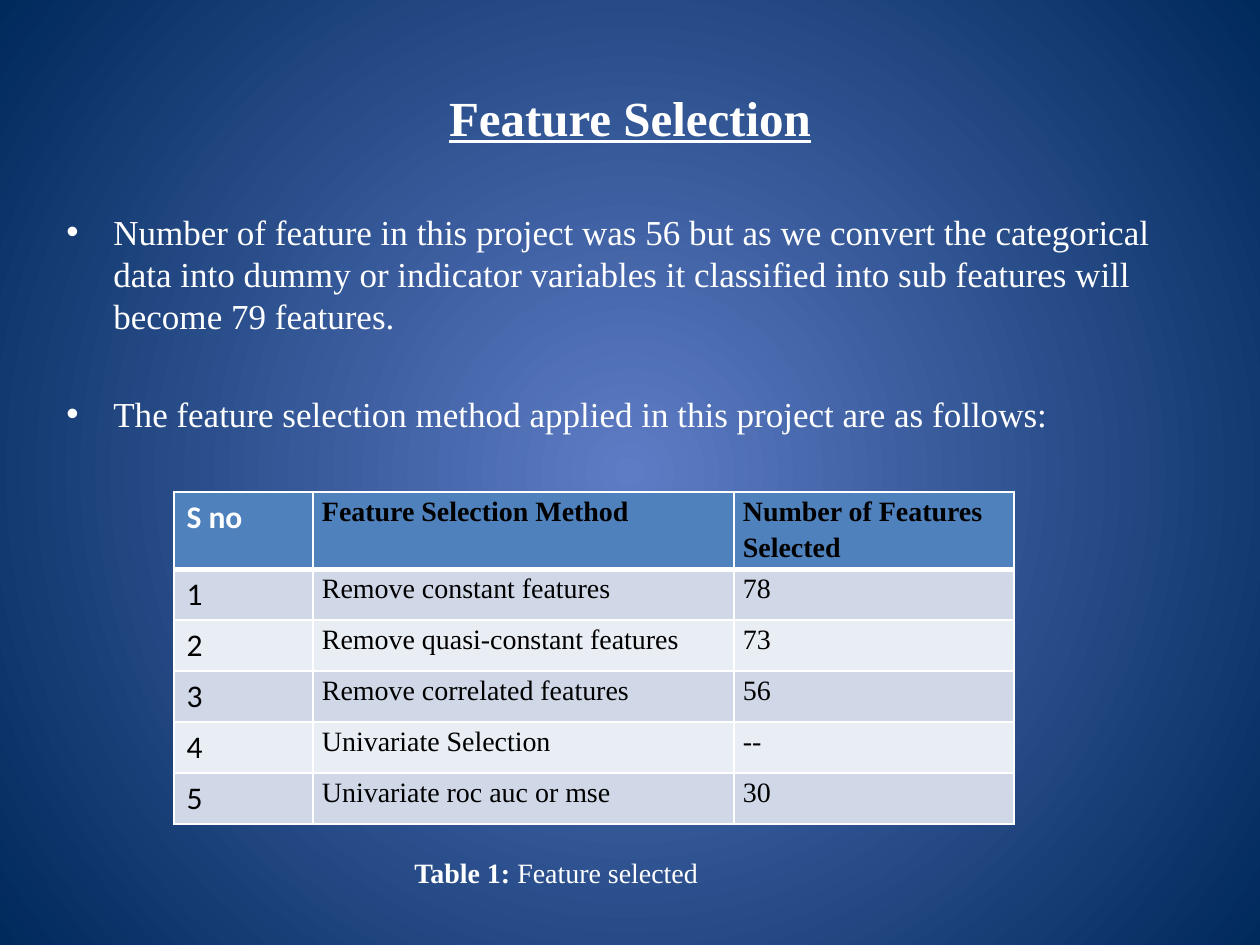
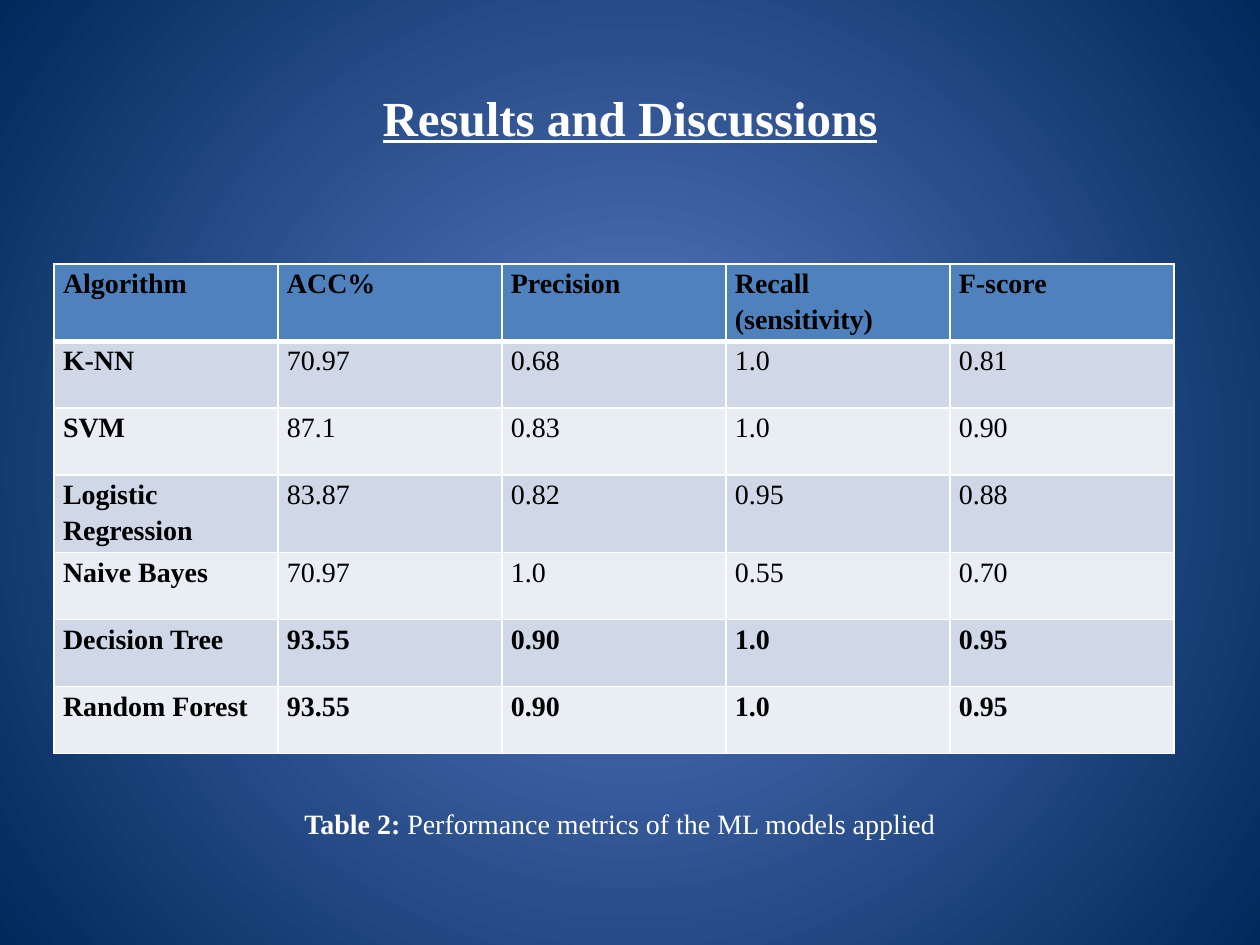
from lxml.etree import SubElement
from pptx import Presentation
from pptx.dml.color import RGBColor as RGB
from pptx.enum.text import MSO_ANCHOR as Anchor, PP_ALIGN as Align
from pptx.oxml.ns import qn
from pptx.util import Pt

PX = 9144000 // 1260
SERIF, SANS = "Times New Roman", "Calibri"
WHITE, BLACK = RGB(255, 255, 255), RGB(0, 0, 0)
GLOW, NAVY = RGB(0x5E, 0x7C, 0xC5), RGB(0x00, 0x29, 0x5C)
HEAD = RGB(0x4F, 0x81, 0xBD)
BANDS = RGB(0xD0, 0xD8, 0xE8), RGB(0xE9, 0xED, 0xF4)

POINTS = [
    "Number of feature in this project was 56 but as we convert the categorical "
    "data into dummy or indicator variables it classified into sub features will "
    "become 79 features.",
    "The feature selection method applied in this project are as follows:",
]
METHODS = [
    ("S no", "Feature Selection Method", "Number of Features Selected"),
    ("1", "Remove constant features", "78"),
    ("2", "Remove quasi-constant features", "73"),
    ("3", "Remove correlated features", "56"),
    ("4", "Univariate Selection", "--"),
    ("5", "Univariate roc auc or mse", "30"),
]
SCORES = [
    ("Algorithm", "ACC%", "Precision", "Recall (sensitivity)", "F-score"),
    ("K-NN", "70.97", "0.68", "1.0", "0.81"),
    ("SVM", "87.1", "0.83", "1.0", "0.90"),
    ("Logistic Regression", "83.87", "0.82", "0.95", "0.88"),
    ("Naive Bayes", "70.97", "1.0", "0.55", "0.70"),
    ("Decision Tree", "93.55", "0.90", "1.0", "0.95"),
    ("Random Forest", "93.55", "0.90", "1.0", "0.95"),
]
BEST = "93.55"


def px(*sizes):
    return [size * PX for size in sizes]


def paint(master):
    """Give every slide a glow that fades outward from the centre."""
    fill = master.background.fill
    fill.gradient()
    for stop, color in zip(fill.gradient_stops, (GLOW, NAVY)):
        stop.color.rgb = color
    line = next(master.element.iter(qn("a:lin")))
    grad = line.getparent()
    grad.remove(line)
    ring = SubElement(grad, qn("a:path"), path="circle")
    SubElement(ring, qn("a:fillToRect"), dict.fromkeys("ltrb", "50000"))


def style(font, size, color=WHITE, bold=False, face=SERIF):
    font.name, font.size, font.bold = face, Pt(size), bold
    font.color.rgb = color


def frame(slide, box):
    text = slide.shapes.add_textbox(*px(*box)).text_frame
    text.word_wrap = True
    return text


def title(slide, words):
    text = frame(slide, (63, 38, 1134, 157))
    text.vertical_anchor = Anchor.MIDDLE
    para = text.paragraphs[0]
    para.text, para.alignment = words, Align.CENTER
    style(para.font, 28, bold=True)
    para.font.underline = True


def bullets(slide, box, points):
    text = frame(slide, box)
    for i, point in enumerate(points):
        para = text.add_paragraph() if i else text.paragraphs[0]
        para.text = point
        para.line_spacing = Pt(24)
        para.space_before = Pt(32 if i else 1)
        style(para.font, 20)
        props = para._p.get_or_add_pPr()
        props.set("marL", str(47 * PX))
        props.set("indent", str(-47 * PX))
        SubElement(props, qn("a:buFont"), typeface="Arial")
        SubElement(props, qn("a:buChar"), char="•")


def caption(slide, box, label, words):
    para = frame(slide, box).paragraphs[0]
    for part, bold in ((label, True), (" " + words, False)):
        run = para.add_run()
        run.text = part
        style(run.font, 16, bold=bold)


def border(cell, row):
    """Draw white edges, with a thick one between header and body."""
    props = cell._tc.get_or_add_tcPr()
    for side in "LRTB":
        thick = (row, side) in ((0, "B"), (1, "T"))
        line = SubElement(props, qn("a:ln" + side), w=str(Pt(3 if thick else 1)))
        solid = SubElement(line, qn("a:solidFill"))
        SubElement(solid, qn("a:srgbClr"), val=str(WHITE))


def grid(slide, left, top, widths, heights, rows, serial=False):
    """Fill a table; serial marks a first column that only numbers the rows."""
    box = px(left, top, sum(widths), sum(heights))
    table = slide.shapes.add_table(len(rows), len(widths), *box).table
    for col, width in zip(table.columns, px(*widths)):
        col.width = width
    for r, (row, height) in enumerate(zip(rows, px(*heights))):
        table.rows[r].height = height
        for c, words in enumerate(row):
            cell = table.cell(r, c)
            border(cell, r)
            cell.fill.solid()
            cell.fill.fore_color.rgb = BANDS[(r - 1) % 2] if r else HEAD
            para = cell.text_frame.paragraphs[0]
            para.text = words
            if serial and c == 0:
                style(para.font, 18, BLACK if r else WHITE, r == 0, SANS)
                continue
            cell.margin_left = cell.margin_right = 9 * PX
            cell.margin_top = cell.margin_bottom = 0
            para.line_spacing = 1.15
            bold = r == 0 or c == 0 or BEST in row
            style(para.font, 16, BLACK, bold)


def features(slide):
    title(slide, "Feature Selection")
    bullets(slide, (54, 204, 1134, 704), POINTS)
    grid(slide, 174, 492, (139, 421, 280), [71] + [51] * 5, METHODS, serial=True)
    caption(slide, (402, 849, 515, 47), "Table 1:", "Feature selected")


def results(slide):
    title(slide, "Results and Discussions")
    grid(slide, 54, 264, [224] * 5, (70, 67, 67, 76, 67, 67, 67), SCORES)
    caption(slide, (292, 800, 764, 84), "Table 2:",
            "Performance metrics of the ML models applied")


def main():
    prs = Presentation()
    prs.slide_width, prs.slide_height = px(1260, 945)
    paint(prs.slide_master)
    for build in (features, results):
        build(prs.slides.add_slide(prs.slide_layouts[6]))
    prs.save("out.pptx")


if __name__ == "__main__":
    main()
